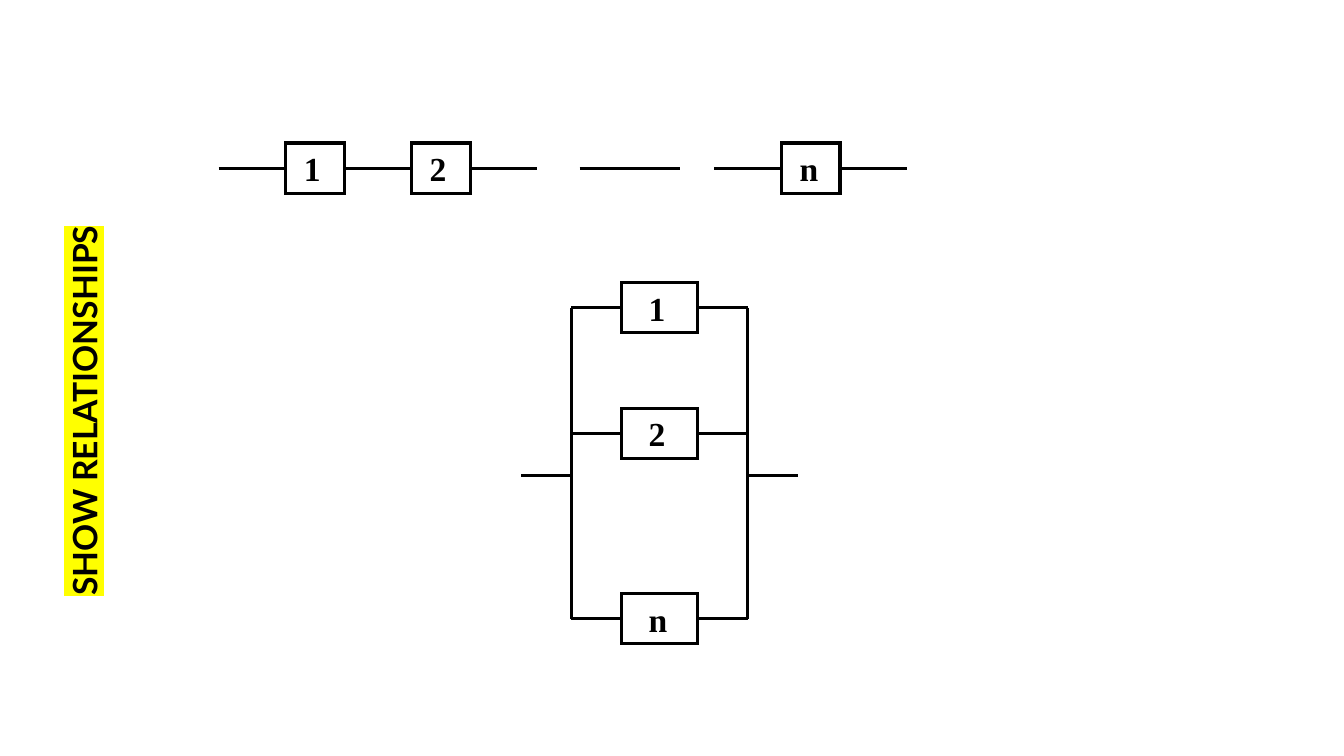
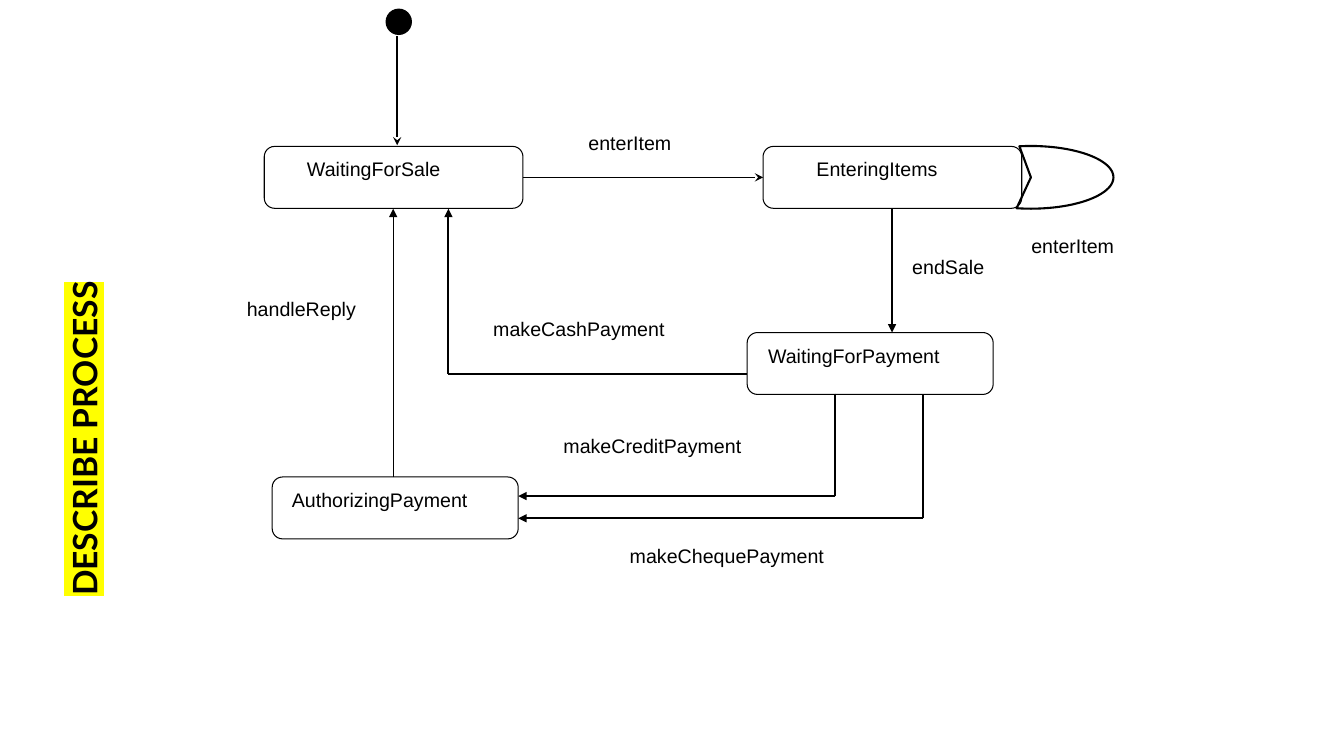
"""Build two diagram slides: reliability relationships and a sale state process."""
from dataclasses import dataclass
from math import cos, radians, sin

from lxml.etree import SubElement
from pptx import Presentation
from pptx.dml.color import RGBColor
from pptx.enum.shapes import MSO_CONNECTOR, MSO_SHAPE
from pptx.enum.text import MSO_ANCHOR, MSO_AUTO_SIZE, PP_ALIGN
from pptx.oxml import parse_xml
from pptx.oxml.ns import nsdecls, qn
from pptx.shapes.autoshape import Shape
from pptx.slide import Slide
from pptx.text.text import TextFrame
from pptx.util import Cm, Pt


@dataclass(frozen=True)
class Theme:
    """Colours, fonts and sizes shared by the slides."""
    ink: RGBColor = RGBColor(0, 0, 0)
    paper: RGBColor = RGBColor(255, 255, 255)
    marker: str = "FFFF00"
    title_font: str = "Lato"
    block_font: str = "Times New Roman"
    state_font: str = "Arial"
    large: float = 24
    small: float = 14
    hairline: float = 0.75
    thin: float = 1
    medium: float = 1.5
    thick: float = 2.25


THEME = Theme()


@dataclass(frozen=True)
class State:
    """A rounded state box and the indent of its name."""
    name: str
    left: float
    top: float
    width: float
    indent: float


@dataclass(frozen=True)
class Label:
    """The name of a transition."""
    name: str
    left: float
    top: float
    width: float


@dataclass(frozen=True)
class Link:
    """A straight line with an optional arrowhead at its end."""
    x1: float
    y1: float
    x2: float
    y2: float
    weight: float = THEME.thick
    arrow: str = ""


BLOCK_HEIGHT = 1.27
SERIES_Y, SERIES_WIDTH, SERIES_LEAD = 4.24, 1.48, 1.69
SERIES = {"1": 7.2, "2": 10.37, "n": 19.69}
PARALLEL_LEFT, PARALLEL_WIDTH, PARALLEL_LEAD = 15.67, 1.9, 1.27
PARALLEL = {"1": 7.75, "2": 10.92, "n": 15.59}
STUB_Y = 11.99

STATE_HEIGHT, LABEL_HEIGHT = 1.56, 1.04
STATES = [
    State("WaitingForSale", 6.66, 3.69, 6.52, 1),
    State("EnteringItems", 19.23, 3.69, 6.52, 1.27),
    State("WaitingForPayment", 18.83, 8.38, 6.2, 0.45),
    State("AuthorizingPayment", 6.86, 12.02, 6.2, 0.42),
]
LABELS = [
    Label("enterItem", 14.58, 3.18, 3.25),
    Label("enterItem", 25.74, 5.77, 3.25),
    Label("endSale", 22.74, 6.3, 2.84),
    Label("handleReply", 5.97, 7.34, 3.56),
    Label("makeCashPayment", 12.18, 7.86, 6.2),
    Label("makeCreditPayment", 13.95, 10.81, 6.2),
    Label("makeChequePayment", 15.62, 13.58, 7.09),
]
TRANSITIONS = [
    Link(10.01, 0.91, 10.01, 3.66, THEME.medium, "stealth"),
    Link(13.18, 4.47, 19.23, 4.47, THEME.thin, "stealth"),
    Link(9.91, 12.02, 9.91, 5.26, THEME.thin, "triangle"),
    Link(22.48, 5.26, 22.48, 8.38, THEME.medium, "triangle"),
    Link(18.82, 9.42, 11.3, 9.42, THEME.medium),
    Link(11.3, 9.42, 11.3, 5.26, THEME.medium, "triangle"),
    Link(21.05, 9.92, 21.05, 12.5, THEME.medium),
    Link(21.05, 12.5, 13.06, 12.5, THEME.medium, "triangle"),
    Link(23.27, 9.94, 23.27, 13.06, THEME.medium),
    Link(23.27, 13.06, 13.06, 13.06, THEME.medium, "triangle"),
]


def write(frame: TextFrame, text: str, *, font: str, size: float, bold: bool = False,
          indent: float = 0.25, top: float = 0.13, highlight: str = "") -> None:
    """Put one left-aligned line of text in a frame."""
    frame.auto_size = MSO_AUTO_SIZE.NONE
    frame.word_wrap = True
    frame.vertical_anchor = MSO_ANCHOR.TOP
    frame.margin_left, frame.margin_right = Cm(indent), Cm(0)
    frame.margin_top, frame.margin_bottom = Cm(top), Cm(0)
    paragraph = frame.paragraphs[0]
    paragraph.alignment = PP_ALIGN.LEFT
    run = paragraph.add_run()
    run.text = text
    run.font.size, run.font.bold = Pt(size), bold
    run.font.color.rgb = THEME.ink
    if highlight:
        run.font.fill._xPr.find(qn("a:solidFill")).addnext(parse_xml(
            f'<a:highlight {nsdecls("a")}><a:srgbClr val="{highlight}"/></a:highlight>'))
    run.font.name = font


def add_title(slide: Slide, text: str) -> None:
    """Turn the title placeholder into an upright highlighted heading."""
    heading = slide.shapes.title
    center_x, center_y, length, depth = 2.25, 8.46, 13.61, 1.55
    heading.left, heading.top = Cm(center_x - length / 2), Cm(center_y - depth / 2)
    heading.width, heading.height = Cm(length), Cm(depth)
    heading.rotation = 270
    write(heading.text_frame, text, font=THEME.title_font, size=THEME.large, bold=True,
          highlight=THEME.marker)


def add_outline(slide: Slide, kind: MSO_SHAPE, left: float, top: float, width: float,
                height: float, *, weight: float = 0, fill: RGBColor = THEME.paper) -> Shape:
    """Draw a filled preset shape, with an ink outline if it has a weight."""
    outline = slide.shapes.add_shape(kind, Cm(left), Cm(top), Cm(width), Cm(height))
    outline.shadow.inherit = False
    outline.fill.solid()
    outline.fill.fore_color.rgb = fill
    if weight:
        outline.line.color.rgb = THEME.ink
        outline.line.width = Pt(weight)
        SubElement(outline.line._get_or_add_ln(), qn("a:miter"), lim="800000")
    else:
        outline.line.fill.background()
    return outline


def add_block(slide: Slide, name: str, left: float, middle: float, width: float,
              indent: float) -> None:
    """Draw a named block centred on a horizontal line."""
    block = add_outline(slide, MSO_SHAPE.RECTANGLE, left, middle - BLOCK_HEIGHT / 2,
                        width, BLOCK_HEIGHT, weight=THEME.thick)
    write(block.text_frame, name, font=THEME.block_font, size=THEME.large, bold=True,
          indent=indent)


def add_link(slide: Slide, link: Link) -> None:
    """Draw one line or arrow."""
    connector = slide.shapes.add_connector(
        MSO_CONNECTOR.STRAIGHT, Cm(link.x1), Cm(link.y1), Cm(link.x2), Cm(link.y2))
    connector.line.color.rgb = THEME.ink
    connector.line.width = Pt(link.weight)
    if link.arrow:
        SubElement(connector.line._get_or_add_ln(), qn("a:tailEnd"), type=link.arrow)
    SubElement(connector._element.spPr, qn("a:effectLst"))


def add_self_loop(slide: Slide) -> None:
    """Draw the notched arc that returns to the EnteringItems state."""
    center_x, center_y, radius_x, radius_y = 25.98, 4.47, 2.08, 0.79
    arc = [(Cm(center_x + radius_x * cos(radians(angle))),
            Cm(center_y + radius_y * sin(radians(angle))))
           for angle in range(100, -99, -2)]
    builder = slide.shapes.build_freeform(*arc[0])
    builder.add_line_segments([*arc[1:], (Cm(center_x), Cm(center_y))], close=True)
    loop = builder.convert_to_shape()
    loop.shadow.inherit = False
    loop.fill.background()
    loop.line.color.rgb = THEME.ink
    loop.line.width = Pt(THEME.medium)


def draw_series(slide: Slide) -> None:
    """Draw the blocks joined in series."""
    leads = [(left - SERIES_LEAD, left) for left in SERIES.values()]
    leads += [(SERIES[name] + SERIES_WIDTH, SERIES[name] + SERIES_WIDTH + SERIES_LEAD)
              for name in ("2", "n")]
    for start, end in [*leads, (14.61, 17.15)]:
        add_link(slide, Link(start, SERIES_Y, end, SERIES_Y))
    for name, left in SERIES.items():
        add_block(slide, name, left, SERIES_Y, SERIES_WIDTH, 0.46)


def draw_parallel(slide: Slide) -> None:
    """Draw the blocks joined in parallel between two rails."""
    right = PARALLEL_LEFT + PARALLEL_WIDTH
    for edge, lead in ((PARALLEL_LEFT, -PARALLEL_LEAD), (right, PARALLEL_LEAD)):
        rail = edge + lead
        add_link(slide, Link(rail, PARALLEL["1"], rail, PARALLEL["n"]))
        add_link(slide, Link(rail, STUB_Y, rail + lead, STUB_Y))
        for middle in PARALLEL.values():
            add_link(slide, Link(edge, middle, rail, middle))
    for name, middle in PARALLEL.items():
        add_block(slide, name, PARALLEL_LEFT, middle, PARALLEL_WIDTH, 0.68)


def draw_process(slide: Slide) -> None:
    """Draw the states, transitions and labels of a sale."""
    for state in STATES:
        box = add_outline(slide, MSO_SHAPE.FLOWCHART_ALTERNATE_PROCESS, state.left,
                          state.top, state.width, STATE_HEIGHT, weight=THEME.hairline)
        write(box.text_frame, state.name, font=THEME.state_font, size=THEME.small,
              indent=state.indent, top=0.2)
    for label in LABELS:
        caption = add_outline(slide, MSO_SHAPE.RECTANGLE, label.left, label.top,
                              label.width, LABEL_HEIGHT)
        write(caption.text_frame, label.name, font=THEME.state_font, size=THEME.small)
    add_outline(slide, MSO_SHAPE.OVAL, 9.73, 0.23, 0.64, 0.64,
                weight=THEME.hairline, fill=THEME.ink)
    for transition in TRANSITIONS:
        add_link(slide, transition)
    add_self_loop(slide)


def main() -> None:
    """Build and save the presentation."""
    deck = Presentation()
    deck.slide_width, deck.slide_height = Cm(33.87), Cm(19.05)
    pages = (("SHOW RELATIONSHIPS", (draw_series, draw_parallel)),
             ("DESCRIBE PROCESS", (draw_process,)))
    for heading, drawings in pages:
        slide = deck.slides.add_slide(deck.slide_layouts[5])
        add_title(slide, heading)
        for draw in drawings:
            draw(slide)
    deck.save("out.pptx")


if __name__ == "__main__":
    main()
